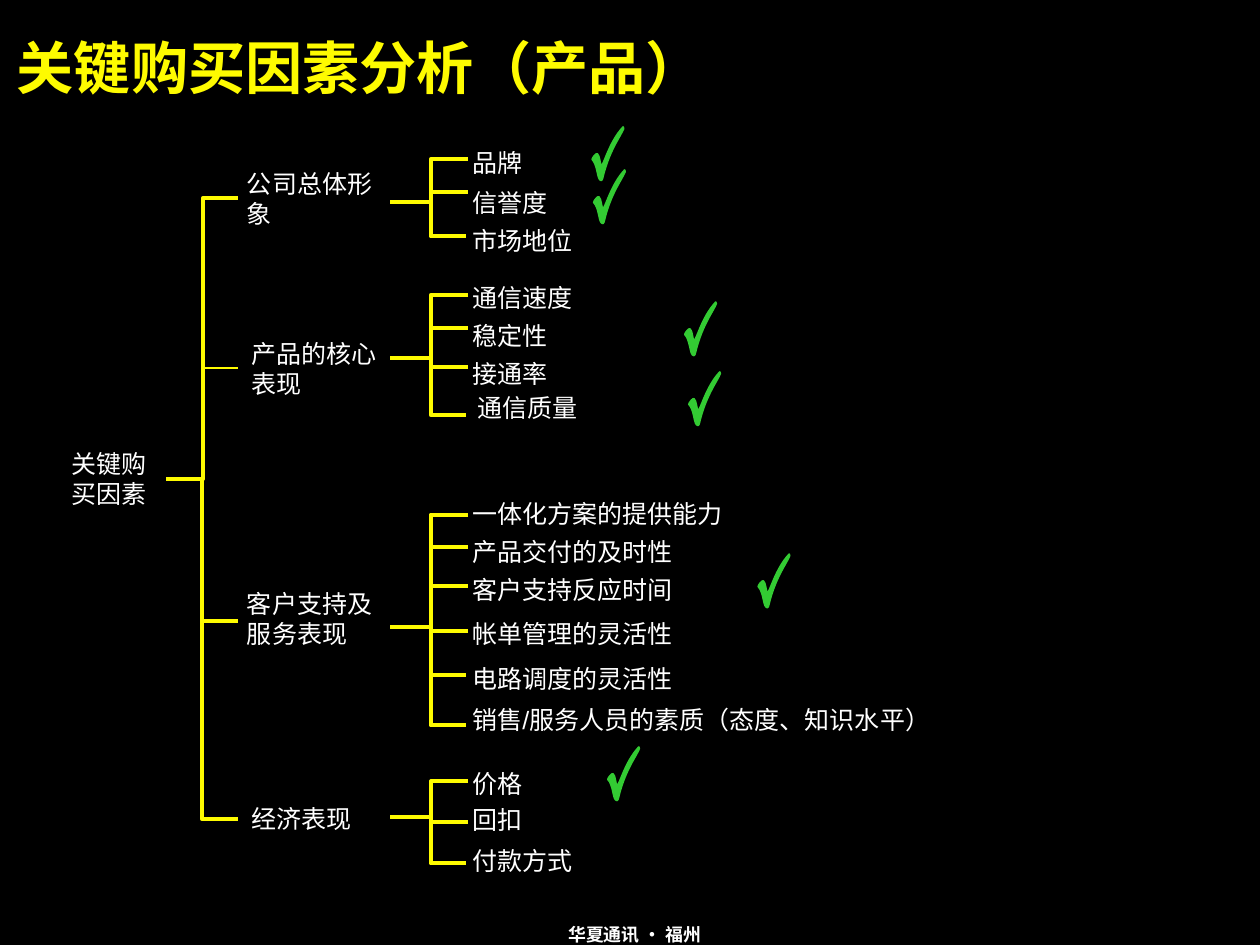
from lxml import etree
from pptx import Presentation
from pptx import util as u
from pptx.dml.color import RGBColor
from pptx.enum import shapes, text
from pptx.oxml.ns import qn

YELLOW, WHITE, GREEN, BLACK = "FEFB00", "FFFFFF", "33CB33", "000000"
SPINE_X, ITEM_X, STEM_X, TICK_END = 8.51, 9.1, 7.7, 9.25
ROOT_Y, BRANCH_X = 9.46, 4.7
ITEM_WIDTH, WIDE = 5.89, 10.21

BRANCHES = [
    dict(label="公司总体形象", box=(4.68, 3.33, 2.84, 1.19), link=(3.91, 3.33, 2.25),
         stem=3.99, brackets=[(3.15, 4.67)], ticks=[3.79],
         items=[("品牌", 2.92), ("信誉度", 3.71, 4.06), ("市场地位", 4.47, WIDE)]),
    dict(label="产品的核心表现", box=(4.77, 6.68, 2.84, 1.19), link=(7.27, 3.28, 1.5),
         stem=7.07, brackets=[(5.83, 8.2)], ticks=[6.48, 7.25],
         items=[("通信速度", 5.59, 6.43), ("稳定性", 6.34), ("接通率", 7.08),
                ("通信质量", 7.77, 7.11, 0.1)]),
    dict(label="客户支持及服务表现", box=(4.68, 11.63, 3.07, 1.19), link=(12.27, 3.28, 2.25),
         stem=12.38, brackets=[(10.17, 13.34), (12.47, 14.33)], ticks=[10.8, 11.58],
         items=[("一体化方案的提供能力", 9.86), ("产品交付的及时性", 10.61),
                ("客户支持反应时间", 11.35), ("帐单管理的灵活性", 12.22, 8.18),
                ("电路调度的灵活性", 13.11),
                ("销售/服务人员的素质（态度、知识水平）", 13.92, WIDE)]),
    dict(label="经济表现", box=(4.77, 15.88, 2.84, 0.58), link=(16.18, 3.28, 2.25),
         stem=16.15, brackets=[(15.44, 16.25), (16.25, 17.06)], ticks=[],
         items=[("价格", 15.18), ("回扣", 15.9), ("付款方式", 16.71)]),
]

CHECK_MARKS = [(11.7, 2.51), (11.73, 3.36), (13.53, 5.97),
               (13.61, 7.35), (14.98, 10.95), (12.01, 14.76)]
CHECK_POINTS = [
    (0, 0.64),
    (0.1, 0.74), (0.1, 0.99), (0.15, 1.04),
    (0.2, 1.09), (0.2, 1.02), (0.23, 0.91),
    (0.36, 0.43), (0.56, 0.18), (0.62, 0.03),
    (0.62, 0.03), (0.61, 0), (0.61, 0),
    (0.33, 0.3), (0.23, 0.76), (0.18, 0.76),
    (0.15, 0.76), (0.15, 0.56), (0.1, 0.53),
    (0.08, 0.51), (0, 0.61), (0, 0.64),
]


def color(hex_value):
    return RGBColor.from_string(hex_value)


def write(sp, content, size=14, fill=WHITE, font="Arial", bold=False,
          align=text.PP_ALIGN.LEFT, anchor=text.MSO_ANCHOR.MIDDLE, margins=(0, 0, 0, 0)):
    tf = sp.text_frame
    tf.word_wrap = True
    tf.auto_size = text.MSO_AUTO_SIZE.NONE
    tf.vertical_anchor = anchor
    tf.margin_left, tf.margin_top, tf.margin_right, tf.margin_bottom = map(u.Cm, margins)
    p = tf.paragraphs[0]
    p.alignment = align
    r = p.add_run()
    r.text = content
    r.font.size, r.font.bold, r.font.name = u.Pt(size), bold, font
    r.font.color.rgb = color(fill)


def bend(sp):
    segments = list(sp._element.iter(qn("a:lnTo")))
    for i in range(0, len(segments), 3):
        curve = etree.Element(qn("a:cubicBezTo"))
        segments[i].addprevious(curve)
        for segment in segments[i:i + 3]:
            curve.append(segment[0])
            segment.getparent().remove(segment)


class Diagram:
    """Draws the elements of a tree diagram on one slide in a shared style."""

    def __init__(self, prs):
        self.s = prs.slides.add_slide(prs.slide_layouts[5])
        self.s.background.fill.solid()
        self.s.background.fill.fore_color.rgb = color(BLACK)

    def title(self, content, left, top, width, height):
        sp = self.s.shapes.title
        sp.left, sp.top, sp.width, sp.height = map(u.Cm, (left, top, width, height))
        write(sp, content, size=32, fill=YELLOW, bold=True, anchor=text.MSO_ANCHOR.TOP)

    def label(self, content, box, **fmt):
        write(self.s.shapes.add_textbox(*map(u.Cm, box)), content, **fmt)

    def line(self, x1, y1, x2, y2, width=2.25, kind=shapes.MSO_CONNECTOR.STRAIGHT):
        sp = self.s.shapes.add_connector(kind, *map(u.Cm, (x1, y1, x2, y2)))
        sp.line.color.rgb = color(YELLOW)
        sp.line.width = u.Pt(width)
        etree.SubElement(sp._element.spPr, qn("a:effectLst"))

    def outline(self, points, line, width, closed=False):
        emu = [(u.Cm(x), u.Cm(y)) for x, y in points]
        builder = self.s.shapes.build_freeform(*emu[0])
        builder.add_line_segments(emu[1:], close=closed)
        sp = builder.convert_to_shape()
        sp.shadow.inherit = False
        sp.line.color.rgb = color(line)
        sp.line.width = u.Pt(width)
        sp.fill.background()
        return sp

    def branch(self, label, box, link, stem, brackets, ticks, items):
        self.label(label, box, margins=(0.2, 0, 0, 0))
        link_y, root_x, link_width = link
        self.line(BRANCH_X, link_y, root_x, ROOT_Y, link_width, shapes.MSO_CONNECTOR.ELBOW)
        self.line(SPINE_X - 0.03, stem, STEM_X, stem)
        for top, bottom in brackets:
            self.outline([(TICK_END, top), (SPINE_X, top),
                          (SPINE_X, bottom), (TICK_END - 0.04, bottom)], YELLOW, 2.25)
        for y in ticks:
            self.line(SPINE_X, y, TICK_END, y)
        for item in items:
            self.item(*item)

    def item(self, content, top, width=ITEM_WIDTH, shift=0):
        self.label(content, (ITEM_X + shift, top, width, 0.58), margins=(0.23, 0, 0, 0))

    def check_mark(self, left, top):
        points = [(left + x, top + y) for x, y in CHECK_POINTS]
        sp = self.outline(points, GREEN, 1, closed=True)
        sp.fill.solid()
        sp.fill.fore_color.rgb = color(GREEN)
        bend(sp)


def main():
    prs = Presentation()
    prs.slide_width, prs.slide_height = u.Cm(24.89), u.Cm(18.67)
    d = Diagram(prs)
    d.title("关键购买因素分析（产品）", 0.33, 0.64, 23.95, 1.35)
    d.label("华夏通讯 · 福州", (8.51, 18.11, 8.05, 0.53), size=10, bold=True,
            font="Noto Sans CJK SC", align=text.PP_ALIGN.CENTER,
            anchor=text.MSO_ANCHOR.TOP, margins=(0.25, 0.13, 0.25, 0.13))
    d.label("关键购买因素", (1.42, 8.86, 1.93, 1.19))
    for branch in BRANCHES:
        d.branch(**branch)
    for left, top in CHECK_MARKS:
        d.check_mark(left, top)
    prs.save("out.pptx")


if __name__ == "__main__":
    main()
